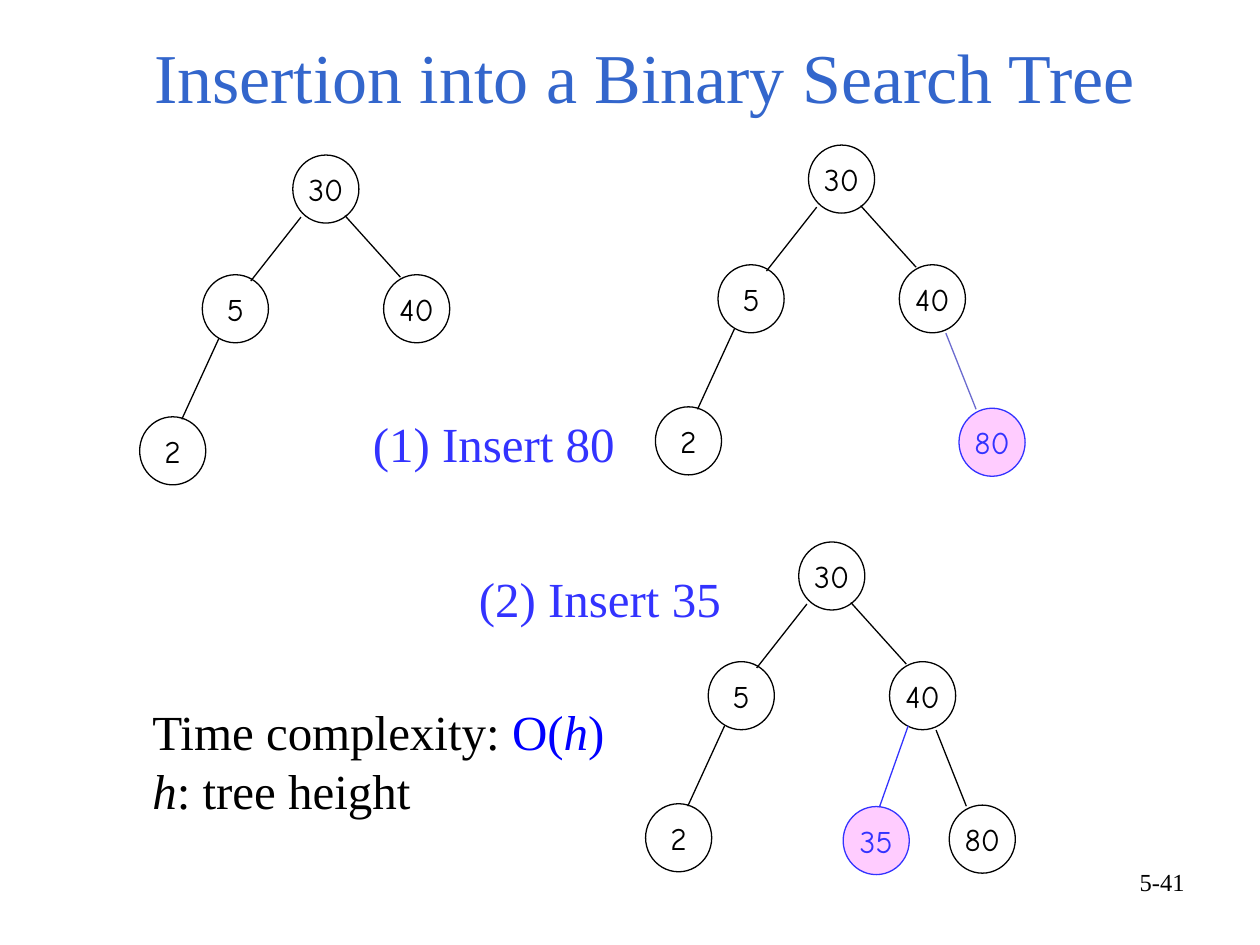
from dataclasses import dataclass

from lxml.etree import SubElement
from pptx import Presentation
from pptx.dml.color import RGBColor
from pptx.enum.shapes import MSO_CONNECTOR, MSO_SHAPE
from pptx.enum.text import MSO_ANCHOR, PP_ALIGN
from pptx.oxml.ns import qn
from pptx.util import Pt


@dataclass(frozen=True)
class Theme:
    ink: RGBColor = RGBColor(0x00, 0x00, 0x00)
    heading: RGBColor = RGBColor(0x33, 0x66, 0xCC)
    accent: RGBColor = RGBColor(0x33, 0x33, 0xFF)
    soft_accent: RGBColor = RGBColor(0x6B, 0x6B, 0xCF)
    formula: RGBColor = RGBColor(0x00, 0x00, 0xFF)
    highlight: RGBColor = RGBColor(0xFF, 0xCC, 0xFF)
    text_font: str = "Times New Roman"
    key_font: str = "Comic Neue"
    heading_size: int = 40
    body_size: int = 28
    key_size: int = 18
    number_size: int = 14
    line_width: float = 0.75


THEME = Theme()
NODE_WIDTH, NODE_HEIGHT = 37.8, 38.9

# Offsets in points from the top left of the root node.
NODE_OFFSETS = {
    30: (0, 0),
    5: (-51.7, 68.4),
    40: (51.9, 68.4),
    2: (-87.5, 149.6),
    80: (86, 150.4),
    35: (25.4, 151.2),
}
EDGE_OFFSETS = {
    5: ((4.7, 35.5), (-24, 72)),
    2: ((-42.3, 105), (-63.4, 151)),
    40: ((29.8, 34.6), (61.5, 69.8)),
    80: ((78.5, 107.5), (95.8, 151)),
    35: ((62.6, 105), (46.1, 151.6)),
}


def style_font(font, size, color, name=THEME.text_font):
    font.size = Pt(size)
    font.name = name
    font.color.rgb = color


def add_node(slide, key, left, top, inserted):
    color = THEME.accent if inserted else THEME.ink
    node = slide.shapes.add_shape(
        MSO_SHAPE.OVAL, Pt(left), Pt(top), Pt(NODE_WIDTH), Pt(NODE_HEIGHT))
    node.shadow.inherit = False
    if inserted:
        node.fill.solid()
        node.fill.fore_color.rgb = THEME.highlight
    else:
        node.fill.background()
    node.line.color.rgb = color
    node.line.width = Pt(THEME.line_width)
    frame = node.text_frame
    frame.word_wrap = False
    frame.vertical_anchor = MSO_ANCHOR.MIDDLE
    label = frame.paragraphs[0]
    label.text = str(key)
    label.alignment = PP_ALIGN.CENTER
    style_font(label.font, THEME.key_size, color, THEME.key_font)


def add_edge(slide, start, end, color):
    edge = slide.shapes.add_connector(
        MSO_CONNECTOR.STRAIGHT, *(Pt(value) for value in (*start, *end)))
    edge.line.color.rgb = color
    edge.line.width = Pt(THEME.line_width)
    SubElement(edge._element.spPr, qn("a:effectLst"))


def add_tree(slide, left, top, keys, inserted=None, inserted_edge=THEME.accent):
    for key in keys:
        dx, dy = NODE_OFFSETS[key]
        add_node(slide, key, left + dx, top + dy, key == inserted)
        if key in EDGE_OFFSETS:
            start, end = ((left + x, top + y) for x, y in EDGE_OFFSETS[key])
            add_edge(slide, start, end,
                     inserted_edge if key == inserted else THEME.ink)


def add_text(slide, box, text, size, color, alignment=PP_ALIGN.LEFT,
             anchor=MSO_ANCHOR.TOP):
    frame = slide.shapes.add_textbox(*(Pt(value) for value in box)).text_frame
    frame.word_wrap = True
    frame.vertical_anchor = anchor
    line = frame.paragraphs[0]
    line.text = text
    line.alignment = alignment
    style_font(line.font, size, color)
    return frame


def add_run(line, text, color=None, italic=None):
    run = line.add_run()
    run.text = text
    if color is not None:
        run.font.color.rgb = color
    run.font.italic = italic


def add_complexity(slide):
    frame = add_text(slide, (80, 397.5, 278.6, 75), "Time complexity: ",
                     THEME.body_size, THEME.ink)
    cost = frame.paragraphs[0]
    add_run(cost, "O(", THEME.formula)
    add_run(cost, "h", THEME.formula, True)
    add_run(cost, ")", THEME.formula)
    meaning = frame.add_paragraph()
    style_font(meaning.font, THEME.body_size, THEME.ink)
    add_run(meaning, "h", italic=True)
    add_run(meaning, ": tree height")


def main():
    deck = Presentation()
    deck.slide_width, deck.slide_height = Pt(720), Pt(540)
    slide = deck.slides.add_slide(deck.slide_layouts[6])

    add_text(slide, (54, 15, 628.5, 55.5), "Insertion into a Binary Search Tree",
             THEME.heading_size, THEME.heading, PP_ALIGN.CENTER,
             MSO_ANCHOR.BOTTOM)

    start_keys = (30, 5, 40, 2)
    add_tree(slide, 167.3, 88.6, start_keys)
    add_tree(slide, 462, 82.9, (*start_keys, 80), 80, THEME.soft_accent)
    add_tree(slide, 456.4, 309.7, (*start_keys, 80, 35), 35)

    for left, top, step in ((206, 232.5, "(1) Insert 80"),
                            (266.6, 321.4, "(2) Insert 35")):
        add_text(slide, (left, top, 153.4, 41), step,
                 THEME.body_size, THEME.accent)
    add_complexity(slide)
    add_text(slide, (516, 492, 168, 37.5), "5-41",
             THEME.number_size, THEME.ink, PP_ALIGN.RIGHT)

    deck.save("out.pptx")


if __name__ == "__main__":
    main()
